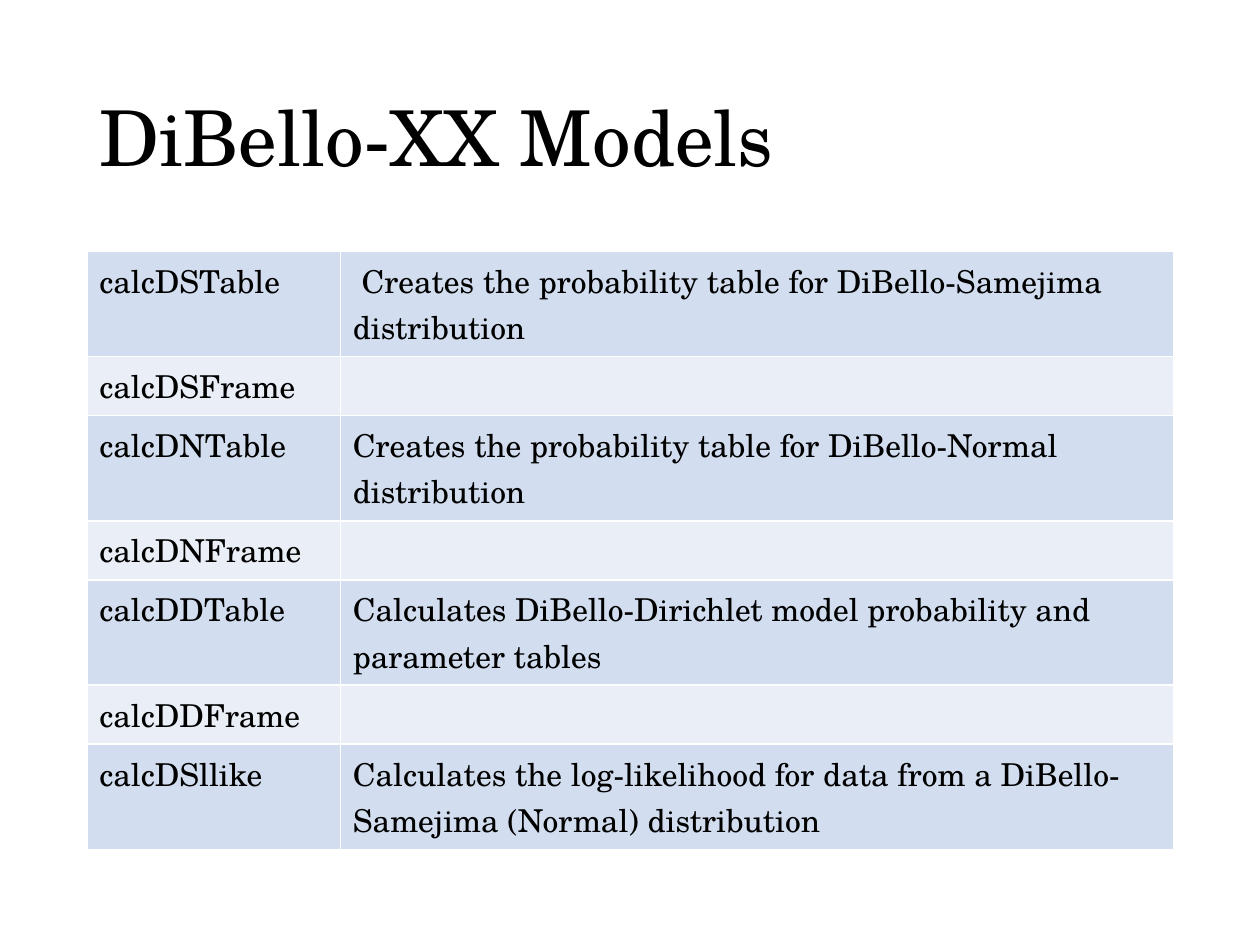
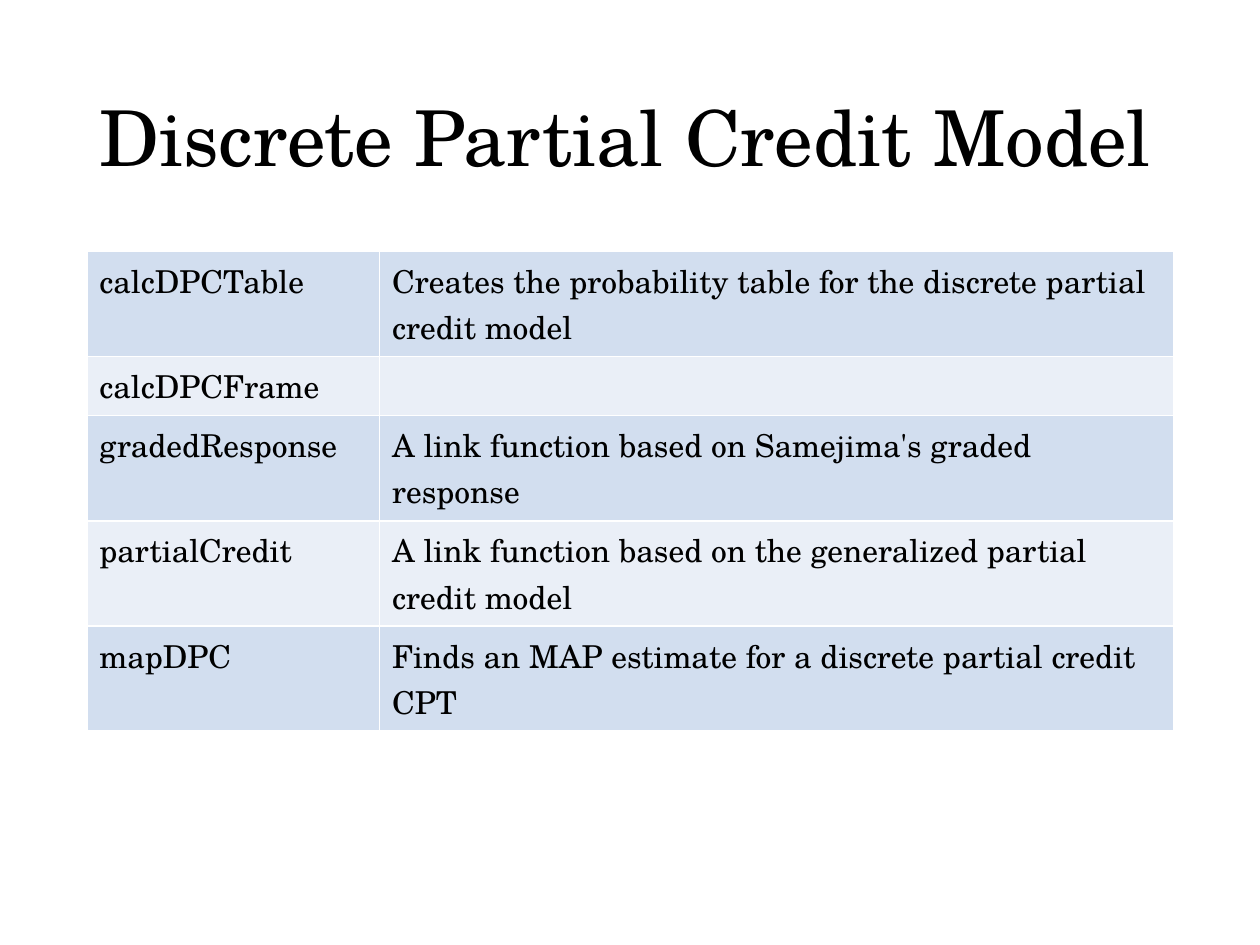
from dataclasses import dataclass

from lxml import etree
from pptx import Presentation
from pptx import util as u
from pptx.dml import color
from pptx.enum import text
from pptx.oxml import ns

# Shared style
FONT = "TeX Gyre Schola"
BLACK, WHITE = "000000", "FFFFFF"
BANDS = ("D2DEEF", "EAEFF7")
LEFT, WIDTH = u.Cm(1.75), u.Cm(21.91)
TITLE_TOP, TITLE_HEIGHT = u.Cm(1.01), u.Cm(3.68)
TABLE_TOP = u.Cm(5.07)
NAME_ROW, DESCRIBED_ROW = u.Cm(1.19), u.Cm(2.12)


@dataclass
class FunctionPage:
    title: str
    name_width: u.Length
    functions: list[tuple[str, str]]


PAGES = [
    FunctionPage("DiBello-XX Models", u.Cm(5.11), [
        ("calcDSTable", " Creates the probability table for DiBello-Samejima distribution"),
        ("calcDSFrame", ""),
        ("calcDNTable", "Creates the probability table for DiBello-Normal distribution"),
        ("calcDNFrame", ""),
        ("calcDDTable", "Calculates DiBello-Dirichlet model probability and parameter tables"),
        ("calcDDFrame", ""),
        ("calcDSllike", "Calculates the log-likelihood for data from a "
                        "DiBello-Samejima (Normal) distribution"),
    ]),
    FunctionPage("Discrete Partial Credit Model", u.Cm(5.9), [
        ("calcDPCTable", "Creates the probability table for the discrete partial credit model"),
        ("calcDPCFrame", ""),
        ("gradedResponse", "A link function based on Samejima's graded response"),
        ("partialCredit", "A link function based on the generalized partial credit model"),
        ("mapDPC", "Finds an MAP estimate for a discrete partial credit CPT"),
    ]),
]


def rgb(value: str) -> color.RGBColor:
    return color.RGBColor.from_string(value)


def write(para, words: str, size: int) -> None:
    """Add one run of text in the shared font."""
    span = para.add_run()
    span.text = words
    for name, value in {"name": FONT, "size": u.Pt(size)}.items():
        setattr(span.font, name, value)
    span.font.color.rgb = rgb(BLACK)


def add_title(page, words: str) -> None:
    box = page.shapes.add_textbox(LEFT, TITLE_TOP, WIDTH, TITLE_HEIGHT)
    frame_format = {"word_wrap": True, "vertical_anchor": text.MSO_ANCHOR.MIDDLE}
    for name, value in frame_format.items():
        setattr(box.text_frame, name, value)
    para = box.text_frame.paragraphs[0]
    para.line_spacing = 0.9
    write(para, words, 44)


def add_borders(cell) -> None:
    """Put a thin white line on every side, ahead of the cell's fill."""
    properties = cell._tc.get_or_add_tcPr()
    for position, side in enumerate(("lnL", "lnR", "lnT", "lnB")):
        line = etree.Element(ns.qn(f"a:{side}"), w=str(u.Pt(1)))
        fill = etree.SubElement(line, ns.qn("a:solidFill"))
        etree.SubElement(fill, ns.qn("a:srgbClr"), val=WHITE)
        properties.insert(position, line)


def add_function_table(page, content: FunctionPage) -> None:
    # Every description takes two lines; a bare name takes one
    heights = [DESCRIBED_ROW if description else NAME_ROW
               for _, description in content.functions]
    table = page.shapes.add_table(
        len(heights), 2, LEFT, TABLE_TOP, WIDTH, sum(heights)).table
    for name, value in {"first_row": False, "horz_banding": False}.items():
        setattr(table, name, value)
    table.columns[0].width = content.name_width
    table.columns[1].width = WIDTH - content.name_width
    for row, function in enumerate(content.functions):
        table.rows[row].height = heights[row]
        for column, words in enumerate(function):
            cell = table.cell(row, column)
            cell.fill.solid()
            cell.fill.fore_color.rgb = rgb(BANDS[row % 2])
            add_borders(cell)
            if words:
                write(cell.text_frame.paragraphs[0], words, 18)


# Build the deck
deck = Presentation()
deck.slide_width, deck.slide_height = u.Cm(25.4), u.Cm(19.05)
for content in PAGES:
    page = deck.slides.add_slide(deck.slide_layouts[6])
    add_title(page, content.title)
    add_function_table(page, content)
deck.save("out.pptx")
